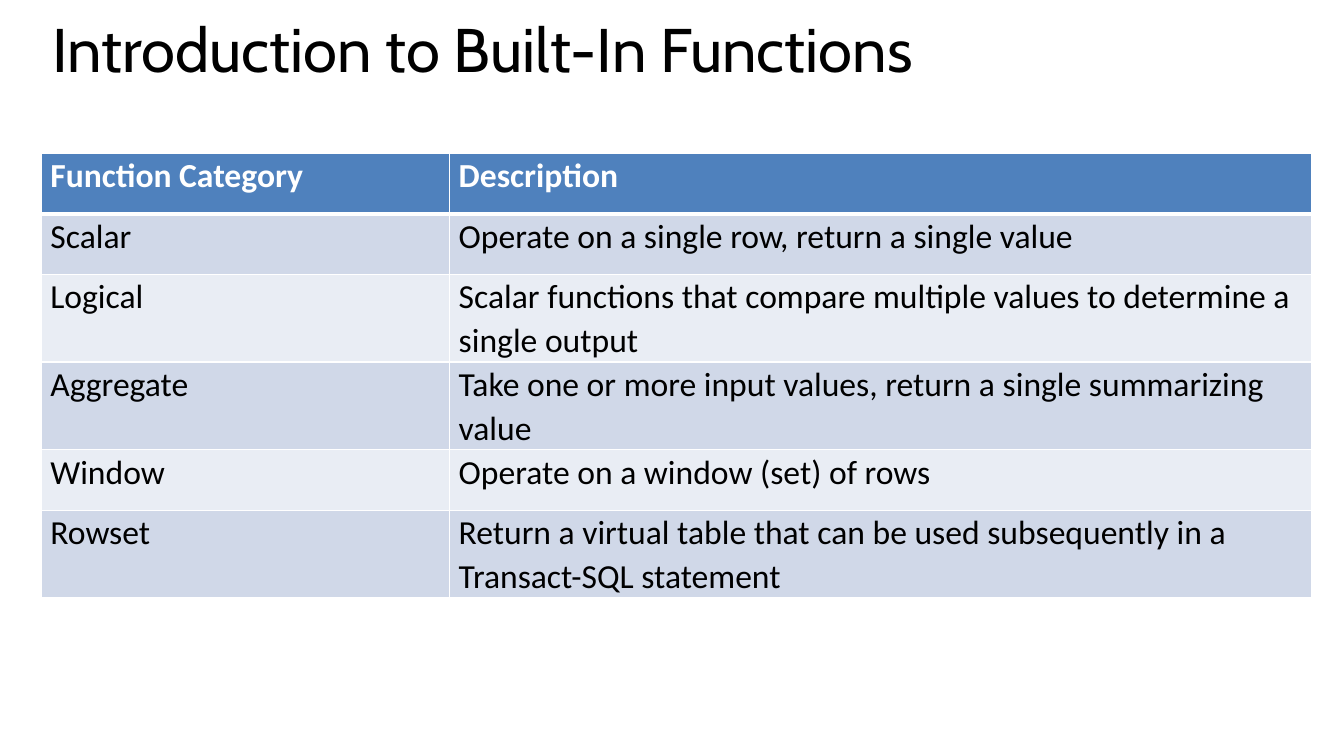
from lxml import etree
from pptx import Presentation
from pptx.dml.color import RGBColor
from pptx.enum.text import MSO_ANCHOR, PP_ALIGN
from pptx.oxml.ns import qn
from pptx.util import Inches, Pt

TOP, LEFT = MSO_ANCHOR.TOP, PP_ALIGN.LEFT
TITLE_ONLY = 5

COLORS = {
    "text": "000000",
    "header": "4F81BD",
    "header_text": "FFFFFF",
    "band_dark": "D0D8E8",
    "band_light": "E9EDF4",
    "border": "FFFFFF",
}
TITLE_FONT, TABLE_FONT = "Cabin", "Calibri"

# Boxes: left, top, width, height in inches
TITLE_BOX = (0.42, 0.2, 12.6, 1.16)
TABLE_BOX = (0.41, 1.52, 12.6, 3.6)
CATEGORY_SHARE = 4.05 / 12.6

FUNCTION_CATEGORIES = [
    ("Function Category", "Description"),
    ("Scalar", "Operate on a single row, return a single value"),
    ("Logical", "Scalar functions that compare multiple values to determine a single output"),
    ("Aggregate", "Take one or more input values, return a single summarizing value"),
    ("Window", "Operate on a window (set) of rows"),
    ("Rowset", "Return a virtual table that can be used subsequently in a Transact-SQL statement"),
]


def color(name):
    return RGBColor.from_string(COLORS[name])


def write(frame, text, font, size, color_name, spacing, bold=False):
    paragraph = frame.paragraphs[0]
    paragraph.alignment = LEFT
    paragraph.line_spacing = spacing
    paragraph.space_before = paragraph.space_after = Pt(0)
    run = paragraph.add_run()
    run.text = text
    run.font.name = font
    run.font.size = Pt(size)
    run.font.bold = bold
    run.font.color.rgb = color(color_name)


def set_borders(cell, bottom_width):
    properties = cell._tc.get_or_add_tcPr()
    widths = {"a:lnL": 1, "a:lnR": 1, "a:lnT": 1, "a:lnB": bottom_width}
    # Border lines must come before the cell's fill
    for position, (tag, width) in enumerate(widths.items()):
        line = etree.Element(qn(tag), w=str(Pt(width)))
        fill = etree.SubElement(line, qn("a:solidFill"))
        etree.SubElement(fill, qn("a:srgbClr"), val=COLORS["border"])
        properties.insert(position, line)


def add_title(slide, box, text):
    title = slide.shapes.title
    title.left, title.top, title.width, title.height = map(Inches, box)
    frame = title.text_frame
    frame.word_wrap = True
    frame.vertical_anchor = TOP
    write(frame, text, TITLE_FONT, 44, "text", 0.8)


def add_category_table(slide, box, rows):
    left, top, width, height = map(Inches, box)
    table = slide.shapes.add_table(len(rows), 2, left, top, width, height).table
    table.columns[0].width = round(width * CATEGORY_SHARE)
    table.columns[1].width = width - table.columns[0].width

    for row_index, row in enumerate(rows):
        is_header = row_index == 0
        band = "header" if is_header else ("band_light", "band_dark")[row_index % 2]
        for column_index, text in enumerate(row):
            cell = table.cell(row_index, column_index)
            cell.margin_left = cell.margin_right = Inches(0.09)
            cell.margin_top = cell.margin_bottom = 0
            cell.vertical_anchor = TOP
            cell.fill.solid()
            cell.fill.fore_color.rgb = color(band)
            set_borders(cell, 3 if is_header else 1)
            write(cell.text_frame, text, TABLE_FONT, 24,
                  "header_text" if is_header else "text", 1.07, is_header)


def main():
    deck = Presentation()
    deck.slide_width, deck.slide_height = Inches(13.33), Inches(7.5)
    slide = deck.slides.add_slide(deck.slide_layouts[TITLE_ONLY])
    add_title(slide, TITLE_BOX, "Introduction to Built-In Functions")
    add_category_table(slide, TABLE_BOX, FUNCTION_CATEGORIES)
    deck.save("out.pptx")


if __name__ == "__main__":
    main()
